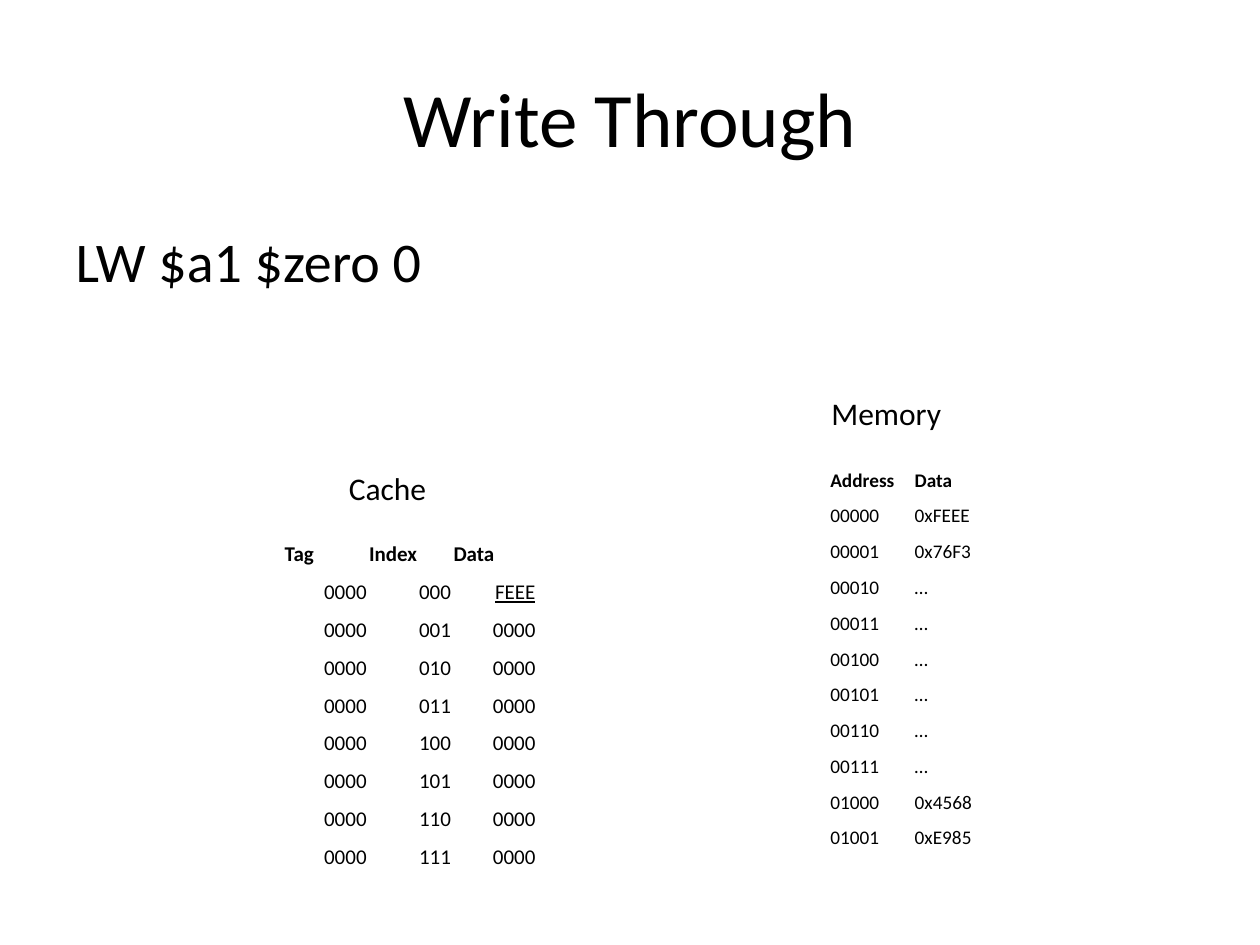
from lxml import etree
from pptx import Presentation
from pptx.dml.color import RGBColor
from pptx.enum.text import MSO_ANCHOR, MSO_AUTO_SIZE, PP_ALIGN
from pptx.oxml.ns import qn
from pptx.util import Inches, Pt

LEFT, CENTER, RIGHT = PP_ALIGN.LEFT, PP_ALIGN.CENTER, PP_ALIGN.RIGHT
MIDDLE, BOTTOM = MSO_ANCHOR.MIDDLE, MSO_ANCHOR.BOTTOM
FIT_SHAPE = MSO_AUTO_SIZE.SHAPE_TO_FIT_TEXT
NO_FIT = MSO_AUTO_SIZE.NONE

COLORS = {"text": "000000"}
FONT = "Calibri"
COL_WIDTH = 0.67


class SlideBuilder:
    def __init__(self, slide):
        self.slide = slide

    def style(self, p, size, align=LEFT, bold=False, underline=False):
        p.alignment = align
        for r in p.runs:
            r.font.name = FONT
            r.font.size = Pt(size)
            r.font.bold = bold
            r.font.underline = underline
            r.font.color.rgb = RGBColor.from_string(COLORS["text"])

    def place(self, sp, left, top, width, height):
        sp.left, sp.top = Inches(left), Inches(top)
        sp.width, sp.height = Inches(width), Inches(height)

    def title(self, text, *box):
        sp = self.slide.shapes.title
        self.place(sp, *box)
        tf = sp.text_frame
        tf.text = text
        tf.vertical_anchor = MIDDLE
        tf.auto_size = NO_FIT
        self.style(tf.paragraphs[0], 44, CENTER)

    def body(self, text, *box):
        sp = self.slide.placeholders[1]
        self.place(sp, *box)
        tf = sp.text_frame
        tf.text = text
        tf.auto_size = NO_FIT
        p = tf.paragraphs[0]
        p.space_before = Pt(8)
        self.style(p, 32)
        p_pr = p._p.get_or_add_pPr()
        p_pr.set("marL", str(Inches(0.38)))
        p_pr.set("indent", str(Inches(-0.38)))
        etree.SubElement(p_pr, qn("a:buNone"))

    def label(self, text, *box):
        sp = self.slide.shapes.add_textbox(*map(Inches, box))
        tf = sp.text_frame
        tf.word_wrap = True
        tf.auto_size = FIT_SHAPE
        tf.text = text
        self.style(tf.paragraphs[0], 18)

    def table(self, rows, left, top, height, size, align=LEFT, underlined=()):
        """Add a plain table with a bold header; align applies to the data rows."""
        n_cols = len(rows[0])
        frame = self.slide.shapes.add_table(
            len(rows), n_cols, Inches(left), Inches(top),
            Inches(COL_WIDTH * n_cols), Inches(height))
        table = frame.table
        table.first_row = table.horz_banding = False
        for column in table.columns:
            column.width = Inches(COL_WIDTH)
        for i, row in enumerate(rows):
            for j, text in enumerate(row):
                cell = table.cell(i, j)
                cell.fill.background()
                cell.vertical_anchor = BOTTOM
                cell.margin_left = cell.margin_right = Inches(0.01)
                cell.margin_top = cell.margin_bottom = Inches(0.05)
                cell.text = text
                header = i == 0
                self.style(cell.text_frame.paragraphs[0], size,
                           LEFT if header else align, header,
                           (i, j) in underlined)


def main():
    prs = Presentation()
    prs.slide_width, prs.slide_height = Inches(10), Inches(7.5)
    s = SlideBuilder(prs.slides.add_slide(prs.slide_layouts[1]))

    s.title("Write Through", 0.5, 0.3, 9, 1.25)
    s.body("LW $a1 $zero 0", 0.5, 1.75, 9, 4.95)

    memory_data = ["0xFEEE", "0x76F3"] + ["…"] * 6 + ["0x4568", "0xE985"]
    memory = [("Address", "Data")]
    memory += [(f"{i:05b}", data) for i, data in enumerate(memory_data)]

    cache_data = ["FEEE"] + ["0000"] * 7
    cache = [("Tag", "Index", "Data")]
    cache += [("0000", f"{i:03b}", data) for i, data in enumerate(cache_data)]

    s.label("Cache", 2.67, 3.67, 1.67, 0.4)
    s.table(memory, 6.58, 3.67, 2.48, 11)
    s.label("Memory", 6.5, 3.08, 1.33, 0.4)
    s.table(cache, 2.25, 4.25, 1.89, 12, RIGHT, underlined={(1, 2)})

    prs.save("out.pptx")


if __name__ == "__main__":
    main()
